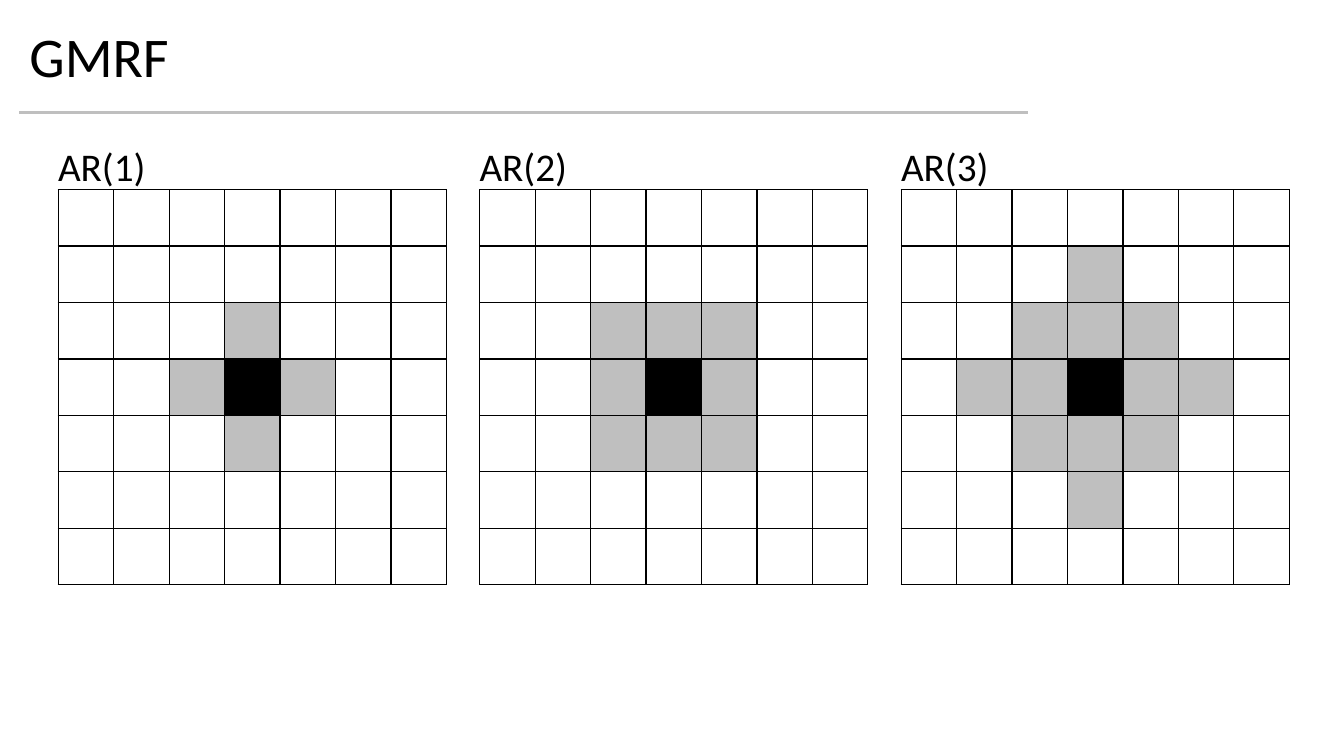
import lxml.etree
import pptx
import pptx.dml.color
import pptx.enum.shapes
import pptx.enum.text
import pptx.oxml
import pptx.oxml.ns
import pptx.util

BLACK = pptx.dml.color.RGBColor(0x00, 0x00, 0x00)
GRAY = pptx.dml.color.RGBColor(0xBF, 0xBF, 0xBF)
WHITE = pptx.dml.color.RGBColor(0xFF, 0xFF, 0xFF)

LATTICE_SIZE = 7
LATTICE_LEFT = 1.05
LATTICE_TOP = 3.36
LATTICE_PITCH = 7.6
SQUARED_REACH = {1: 1, 2: 2, 3: 4}


class SlideBuilder:
    """Hold the style and current slide, and draw elements on a grid of lattice cells."""

    font_name = "Calibri"
    column = pptx.util.Inches(0.55)
    row = pptx.util.Inches(0.56)

    def __init__(self, presentation):
        self.slide = presentation.slides.add_slide(presentation.slide_layouts[5])

    def place(self, left, top, width, height):
        return (round(left * self.column), round(top * self.row),
                round(width * self.column), round(height * self.row))

    def add_text(self, shape, text, size):
        frame = shape.text_frame
        frame.word_wrap = True
        frame.auto_size = pptx.enum.text.MSO_AUTO_SIZE.SHAPE_TO_FIT_TEXT
        frame.vertical_anchor = pptx.enum.text.MSO_ANCHOR.TOP
        paragraph = frame.paragraphs[0]
        paragraph.alignment = pptx.enum.text.PP_ALIGN.LEFT
        run = paragraph.add_run()
        run.text = text
        run.font.name = self.font_name
        run.font.size = pptx.util.Pt(size)
        run.font.color.rgb = BLACK

    def title(self, text, *box):
        shape = self.slide.shapes.title
        shape.left, shape.top, shape.width, shape.height = self.place(*box)
        self.add_text(shape, text, 40)

    def label(self, text, *box):
        self.add_text(self.slide.shapes.add_textbox(*self.place(*box)), text, 28)

    def rule(self, left, top, width):
        x, y, length, _ = self.place(left, top, width, 0)
        connector = self.slide.shapes.add_connector(
            pptx.enum.shapes.MSO_CONNECTOR.STRAIGHT, x, y, x + length, y)
        connector.line.color.rgb = GRAY
        connector.line.width = pptx.util.Pt(2)
        properties = connector._element.spPr
        lxml.etree.SubElement(properties, pptx.oxml.ns.qn("a:effectLst"))

    def cell(self, cell, color):
        properties = cell._tc.get_or_add_tcPr()
        for side in ("lnL", "lnR", "lnT", "lnB"):
            properties.append(pptx.oxml.parse_xml(
                f'<a:{side} {pptx.oxml.ns.nsdecls("a")} w="{pptx.util.Pt(1)}">'
                f'<a:solidFill><a:srgbClr val="{BLACK}"/></a:solidFill></a:{side}>'))
        cell.fill.solid()
        cell.fill.fore_color.rgb = color

    def lattice(self, left, top, squared_reach):
        box = self.place(left, top, LATTICE_SIZE, LATTICE_SIZE)
        table = self.slide.shapes.add_table(LATTICE_SIZE, LATTICE_SIZE, *box).table
        table.first_row = table.horz_banding = False
        center = LATTICE_SIZE // 2
        for row in range(LATTICE_SIZE):
            for column in range(LATTICE_SIZE):
                distance = (row - center) ** 2 + (column - center) ** 2
                color = BLACK if distance == 0 else GRAY if distance <= squared_reach else WHITE
                self.cell(table.cell(row, column), color)


def main():
    presentation = pptx.Presentation()
    presentation.slide_width = pptx.util.Inches(13.33)
    presentation.slide_height = pptx.util.Inches(7.5)
    builder = SlideBuilder(presentation)
    builder.title("GMRF", 0.35, 0.3, 19.55, 1.38)
    builder.rule(0.35, 2, 18.18)
    for order, squared_reach in SQUARED_REACH.items():
        left = LATTICE_LEFT + (order - 1) * LATTICE_PITCH
        builder.lattice(left, LATTICE_TOP, squared_reach)
        builder.label(f"AR({order})", left - 0.18, 2.43, 3.44, 1.02)
    presentation.save("out.pptx")


if __name__ == "__main__":
    main()
